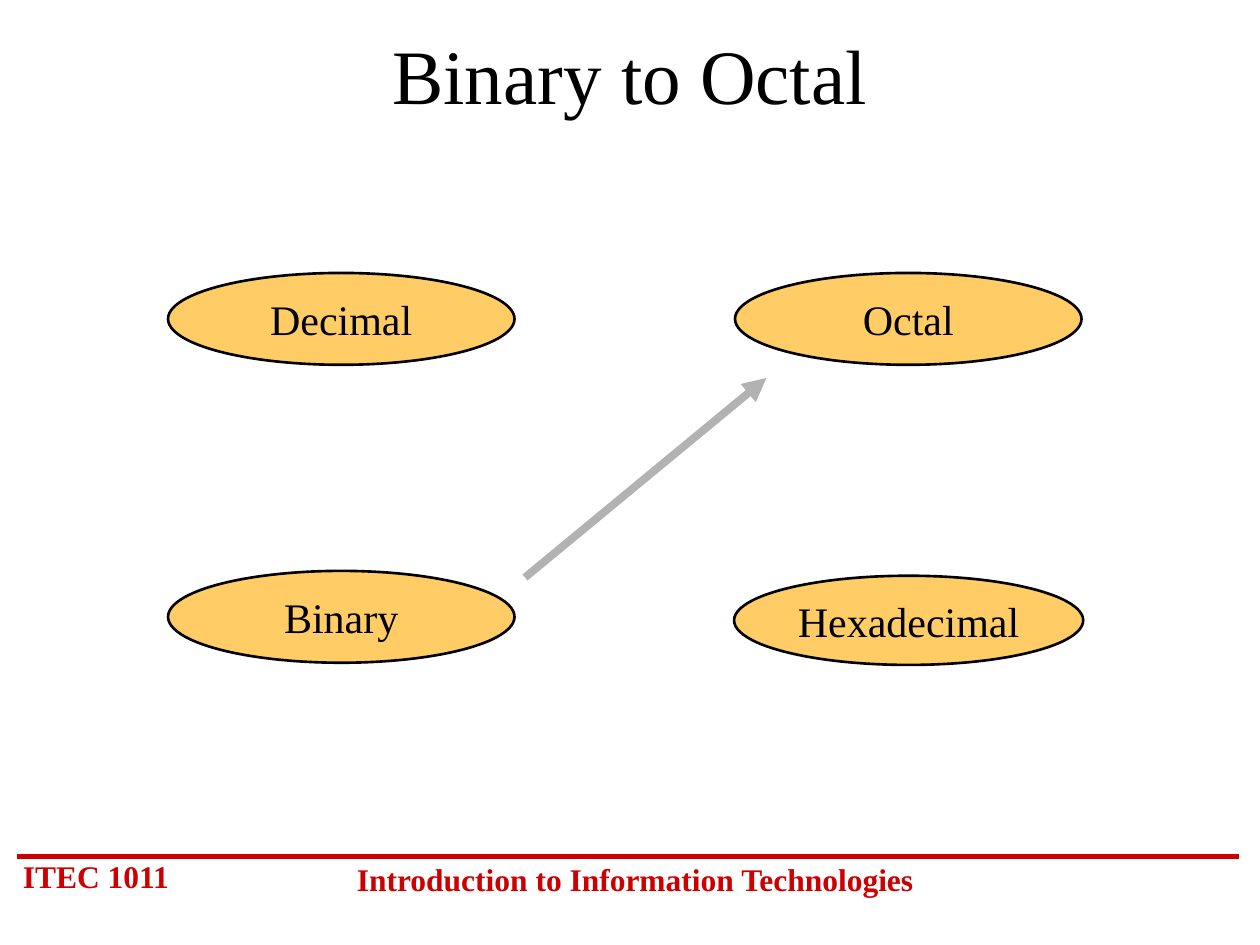
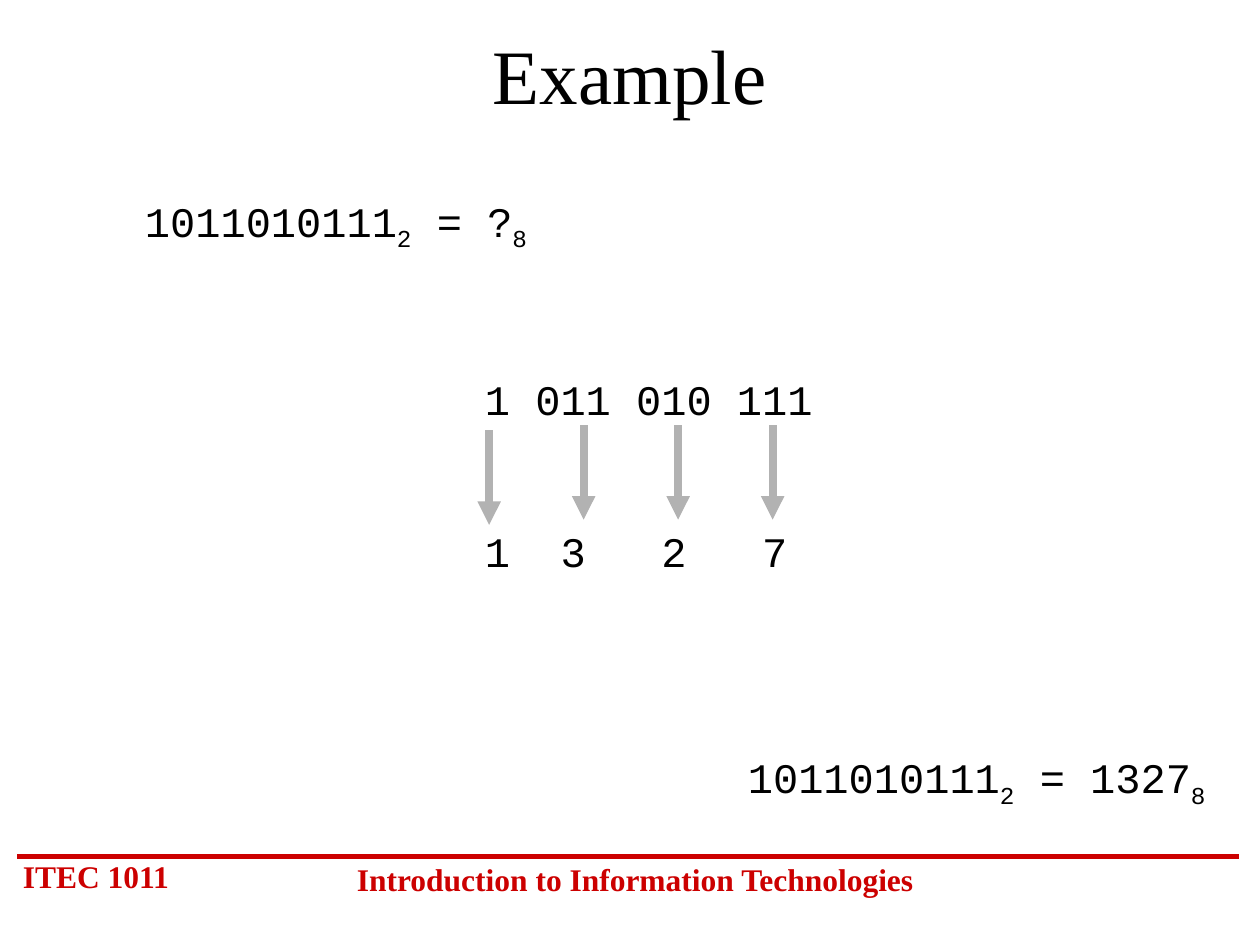
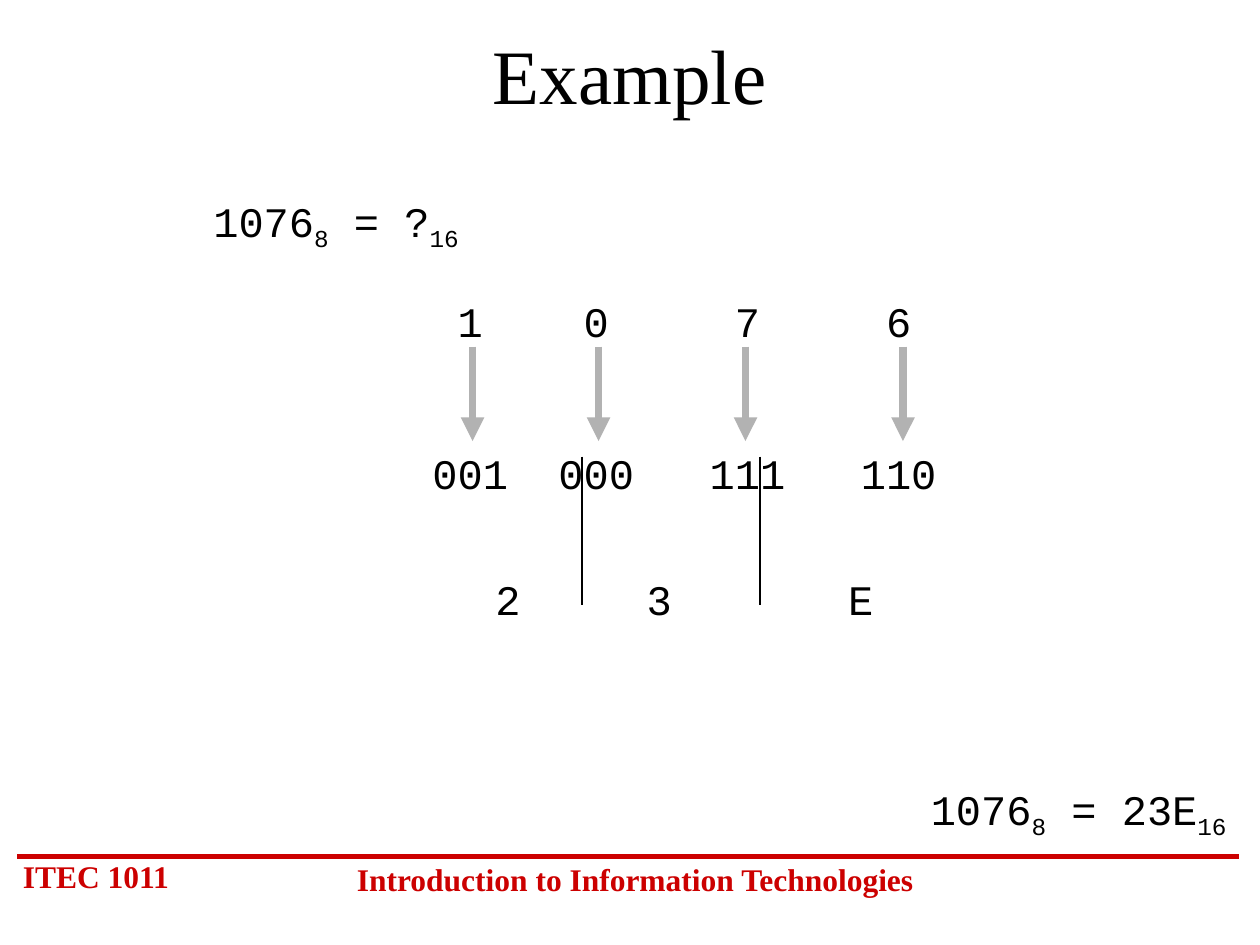
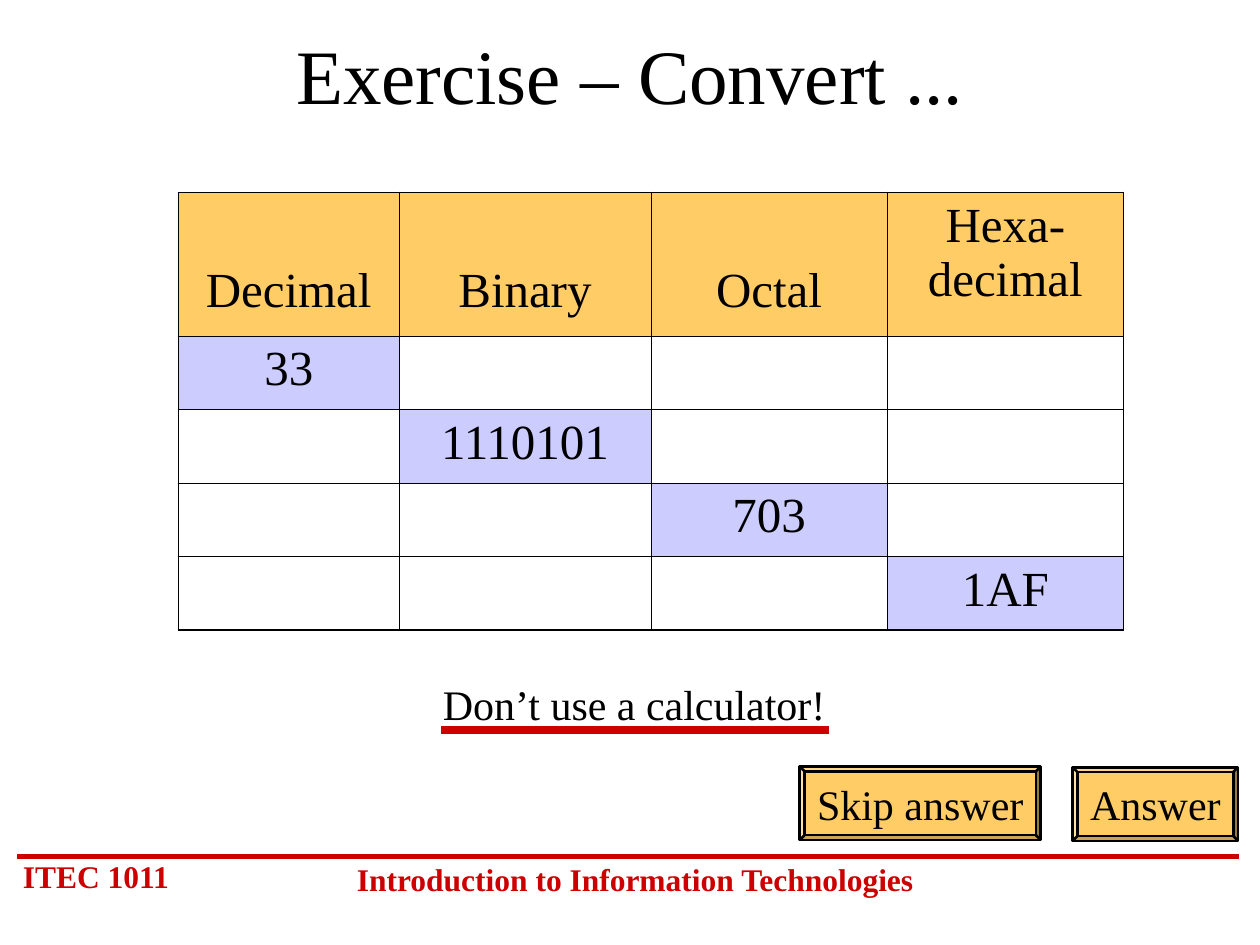
"""Build four slides on converting between number bases."""
from lxml.etree import SubElement
from pptx import Presentation
from pptx.dml.color import RGBColor
from pptx.enum.shapes import MSO_CONNECTOR, MSO_SHAPE
from pptx.enum.text import MSO_ANCHOR, PP_ALIGN
from pptx.oxml.ns import qn
from pptx.util import Pt

HEX = {"red": "CC0000", "gold": "FFCC66", "lilac": "CCCCFF", "gray": "B2B2B2", "black": "000000"}
COLOR = {name: RGBColor.from_string(code) for name, code in HEX.items()}
SERIF, MONO = "Times New Roman", "Courier New"
LEFT, MID, RIGHT = PP_ALIGN.LEFT, PP_ALIGN.CENTER, PP_ALIGN.RIGHT
CHAR = 14.4


def write(shape, text, size=24, face=SERIF, tint="black", align=LEFT, bold=False,
          wrap=True, anchor=MSO_ANCHOR.TOP, stops=(), gap=0):
    """Fill a shape; underscores fence subscripts, stops are tabs in characters."""
    frame = shape.text_frame
    frame.word_wrap = wrap
    frame.vertical_anchor = anchor
    frame.margin_left = frame.margin_right = Pt(7.2)
    frame.margin_top = frame.margin_bottom = Pt(3.6)
    for row, words in enumerate(text.split("\n")):
        para = frame.add_paragraph() if row else frame.paragraphs[0]
        para.alignment = align
        para.space_before = Pt(gap if row else 0)
        para.font.size, para.font.name, para.font.bold = Pt(size), face, bold
        para.font.color.rgb = COLOR[tint]
        for spot, part in enumerate(words.split("_")):
            if part:
                run = para.add_run()
                run.text = part
                if spot % 2:
                    run.font._element.set("baseline", "-25000")
        if stops:
            tabs = para._p.pPr.makeelement(qn("a:tabLst"))
            para._p.pPr.find(qn("a:defRPr")).addprevious(tabs)
            for stop in stops[row]:
                SubElement(tabs, qn("a:tab"), pos=str(Pt(stop * CHAR)), algn="l")


def draw(slide, ends, tint, width, head=False):
    """Draw a straight line, with an arrowhead if asked."""
    line = slide.shapes.add_connector(MSO_CONNECTOR.STRAIGHT, *map(Pt, ends))
    line.line.color.rgb = COLOR[tint]
    line.line.width = Pt(width)
    if head:
        SubElement(line.line._get_or_add_ln(), qn("a:tailEnd"), type="triangle")
    SubElement(line._element.spPr, qn("a:effectLst"))


deck = Presentation()
deck.slide_width, deck.slide_height = Pt(720), Pt(540)

slides = []
for title in ("Binary to Octal", "Example", "Example", "Exercise – Convert ..."):
    slide = deck.slides.add_slide(deck.slide_layouts[6])
    draw(slide, (10, 489.6, 708, 489.6), "red", 3)
    for box, text, align in (
        ((6, 486, 108, 29), "ITEC 1011", LEFT),
        ((192, 488, 342, 29), "Introduction to Information Technologies", MID),
    ):
        write(slide.shapes.add_textbox(*map(Pt, box)), text, 18, tint="red", align=align, bold=True)
    head = slide.shapes.add_textbox(Pt(54), Pt(12), Pt(612), Pt(60))
    write(head, title, 44, align=MID, anchor=MSO_ANCHOR.MIDDLE)
    slides.append(slide)
bases, octal, hexa, quiz = slides

for kind, slide, box, text in (
    (MSO_SHAPE.OVAL, bases, (419.5, 329, 199.5, 51), "Hexadecimal"),
    (MSO_SHAPE.OVAL, bases, (96, 156, 198, 52.5), "Decimal"),
    (MSO_SHAPE.OVAL, bases, (420, 156, 198, 52.5), "Octal"),
    (MSO_SHAPE.OVAL, bases, (96, 326.25, 198, 52.5), "Binary"),
    (MSO_SHAPE.BEVEL, quiz, (457, 438, 137.75, 42), "Skip answer"),
    (MSO_SHAPE.BEVEL, quiz, (613, 438.5, 94.5, 42), "Answer"),
):
    shape = slide.shapes.add_shape(kind, *map(Pt, box))
    if kind == MSO_SHAPE.BEVEL:
        shape.adjustments[0] = 0.065
    shape.shadow.inherit = False
    shape.fill.solid()
    shape.fill.fore_color.rgb = COLOR["gold"]
    shape.line.color.rgb = COLOR["black"]
    shape.line.width = Pt(1.5)
    write(shape, text, align=MID, wrap=False, anchor=MSO_ANCHOR.MIDDLE)
draw(bases, (300, 330, 438, 216), "gray", 4.5, True)

for slide, box, text, align, stops in (
    (octal, (24, 108, 336, 40), "1011010111_2_ = ?_8", MID, ()),
    (octal, (270, 210, 336, 127.5), "1 011 010 111\n1\t3\t2\t7", LEFT, ((), (3, 7, 11))),
    (octal, (360, 426, 336, 40), "1011010111_2_ = 1327_8", RIGHT, ()),
    (hexa, (24, 108, 336, 40), "1076_8_ = ?_16", MID, ()),
    (hexa, (240, 165.5, 336, 219.5), "\t1\t0\t7\t6\n001\t000\t111\t110", LEFT,
     ((1, 6, 12, 18), (5, 11, 17))),
    (hexa, (276, 324, 258, 36), "2\t3\tE", LEFT, ((6, 14),)),
    (hexa, (372, 444, 336, 40), "1076_8_ = 23E_16", RIGHT, ()),
):
    write(slide.shapes.add_textbox(*map(Pt, box)), text, face=MONO, align=align, stops=stops, gap=58)

for slide, x, y in (
    (octal, 279.5, 246), (octal, 333.5, 243), (octal, 387.5, 243), (octal, 441.5, 243),
    (hexa, 270, 198), (hexa, 342, 198), (hexa, 426, 198), (hexa, 516, 198),
):
    draw(slide, (x, y, x, y + 54), "gray", 4.5, True)
for x in (332.5, 434.5):
    draw(hexa, (x, 261, x, 345.5), "black", 1)

note = quiz.shapes.add_textbox(Pt(246), Pt(384), Pt(233), Pt(36))
write(note, "Don’t use a calculator!", wrap=False)
draw(quiz, (252, 417, 474, 417), "red", 4.5)

heads = ("Decimal", "Binary", "Octal", "Hexa-\vdecimal")
given = ("33", "1110101", "703", "1AF")
grid = quiz.shapes.add_table(5, 4, Pt(102), Pt(110), Pt(540), Pt(250)).table
grid.first_row = grid.horz_banding = False
for col, width in zip(grid.columns, (126, 144, 135, 135)):
    col.width = Pt(width)
for row, height in zip(grid.rows, (82, 42, 42, 42, 42)):
    row.height = Pt(height)
for r in range(5):
    for c in range(4):
        cell = grid.cell(r, c)
        props = cell._tc.get_or_add_tcPr()
        for side, edge in (("L", c == 0), ("R", c == 3), ("T", r == 0), ("B", r == 4)):
            rule = SubElement(props, qn("a:ln" + side), w=str(Pt(1.08 if edge else 0.45)))
            fill = SubElement(rule, qn("a:solidFill"))
            SubElement(fill, qn("a:srgbClr"), val=HEX["black"])
        if r and r != c + 1:
            cell.fill.background()
            continue
        cell.fill.solid()
        cell.fill.fore_color.rgb = COLOR["lilac" if r else "gold"]
        cell.text = given[c] if r else heads[c]
        cell.margin_top = Pt(41 if r == 0 and c < 3 else 3.6)
        para = cell.text_frame.paragraphs[0]
        para.alignment = MID
        para.font.size, para.font.name = Pt(28), SERIF
        para.font.color.rgb = COLOR["black"]

deck.save("out.pptx")
